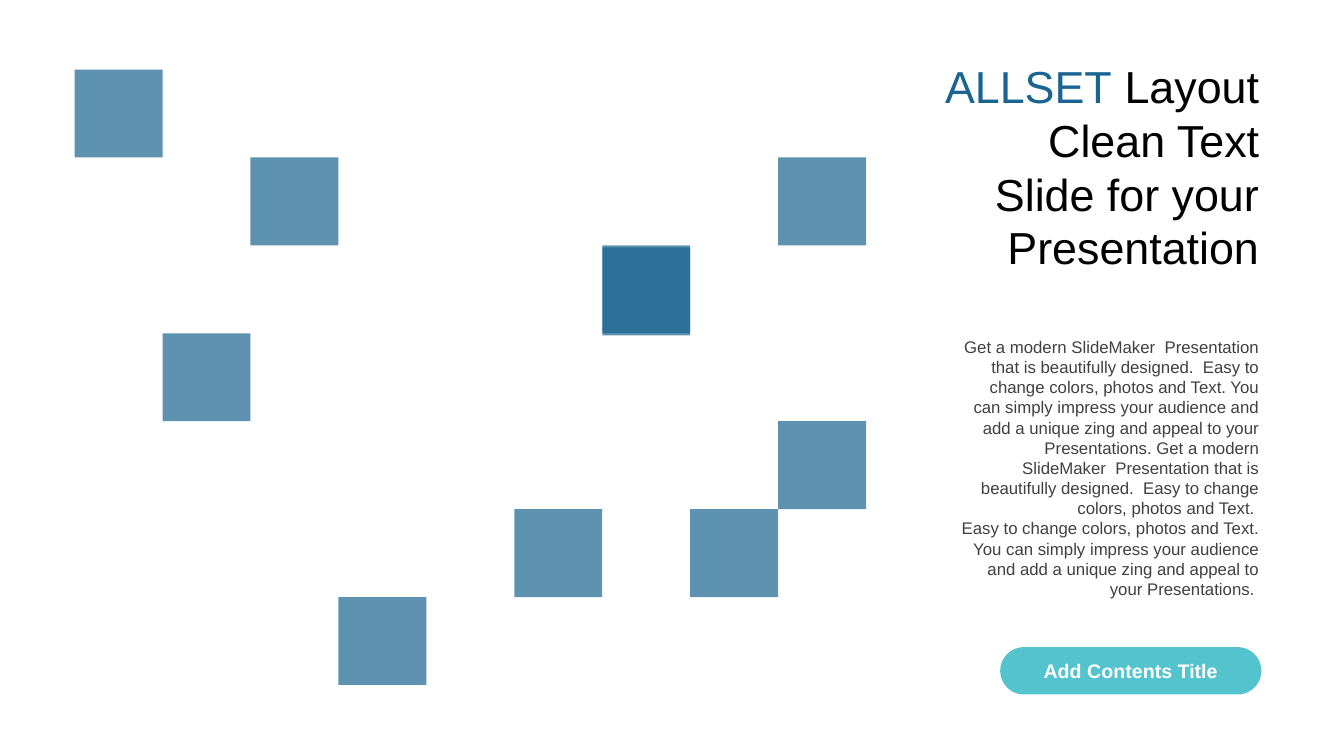
from dataclasses import dataclass

from lxml.etree import SubElement
from pptx import Presentation
from pptx.dml.color import RGBColor
from pptx.enum.shapes import MSO_SHAPE as Shape
from pptx.enum.text import MSO_ANCHOR as Anchor, MSO_AUTO_SIZE as AutoSize, PP_ALIGN as Align
from pptx.oxml.ns import qn
from pptx.util import Inches, Pt


@dataclass(frozen=True)
class Theme:
    font: str = "Arial"
    blue: str = "196491"
    teal: str = "53C3CD"
    black: str = "000000"
    grey: str = "404040"
    white: str = "FFFFFF"
    title_size: int = 32
    body_size: int = 12
    button_size: int = 14
    square_opacity: int = 70


THEME = Theme()

# Paragraphs, each a list of (text, colour) runs
TITLE = [
    [("ALLSET", THEME.blue), (" Layout", THEME.black)],
    [("Clean Text Slide for your Presentation", THEME.black)],
]
BODY = [
    [("Get a modern SlideMaker  Presentation that is beautifully designed.  "
      "Easy to change colors, photos and Text. You can simply impress your "
      "audience and add a unique zing and appeal to your Presentations. "
      "Get a modern SlideMaker  Presentation that is beautifully designed.  "
      "Easy to change colors, photos and Text. ", THEME.grey)],
    [("Easy to change colors, photos and Text. You can simply impress your "
      "audience and add a unique zing and appeal to your Presentations. ", THEME.grey)],
]
BUTTON = [[("Add Contents Title", THEME.white)]]

TITLE_BOX = (9.2, 0.52, 3.39, 2.26)
BODY_BOX = (9.42, 3.29, 3.17, 2.73)
BUTTON_BOX = (9.92, 6.42, 2.59, 0.47)

# Mosaic squares as (column, row, nudge down in inches)
SQUARES = [
    (6, 2, 0), (5, 5, 0), (1, 3, 0), (0, 0, 0), (2, 1, 0),
    (6, 2, 0.02), (3, 6, 0), (8, 1, 0), (8, 4, 0), (7, 5, 0),
]
MOSAIC_LEFT, MOSAIC_TOP, MOSAIC_WIDTH, MOSAIC_COLUMNS = 0.74, 0.69, 7.85, 9


def place(shape, box):
    shape.left, shape.top, shape.width, shape.height = map(Inches, box)


def paint(shape, colour):
    shape.shadow.inherit = False
    shape.fill.solid()
    shape.fill.fore_color.rgb = RGBColor.from_string(colour)
    shape.line.fill.background()


def write(shape, paragraphs, size, align, anchor, bold=False):
    frame = shape.text_frame
    frame.word_wrap = True
    frame.auto_size = AutoSize.NONE
    frame.vertical_anchor = anchor
    for index, runs in enumerate(paragraphs):
        paragraph = frame.add_paragraph() if index else frame.paragraphs[0]
        paragraph.alignment = align
        paragraph.space_before = paragraph.space_after = Pt(0)
        properties = paragraph._p.get_or_add_pPr()
        properties.set("marL", "0")
        properties.set("indent", "0")
        SubElement(properties, qn("a:buNone"))
        for text, colour in runs:
            run = paragraph.add_run()
            run.text = text
            run.font.name = THEME.font
            run.font.size = Pt(size)
            run.font.bold = bold
            run.font.color.rgb = RGBColor.from_string(colour)


def add_mosaic(slide):
    side = MOSAIC_WIDTH / MOSAIC_COLUMNS
    mosaic = slide.shapes.add_group_shape()
    for column, row, nudge in SQUARES:
        left = MOSAIC_LEFT + column * side
        top = MOSAIC_TOP + row * side + nudge
        square = mosaic.shapes.add_shape(Shape.RECTANGLE, *map(Inches, (left, top, side, side)))
        paint(square, THEME.blue)
        colour = square.fill._xPr.find(qn("a:solidFill"))[0]
        SubElement(colour, qn("a:alpha"), val=str(THEME.square_opacity * 1000))


def main():
    deck = Presentation()
    deck.slide_width, deck.slide_height = Inches(13.33), Inches(7.5)
    slide = deck.slides.add_slide(deck.slide_layouts[1])
    add_mosaic(slide)

    title, body = slide.shapes.title, slide.placeholders[1]
    place(title, TITLE_BOX)
    write(title, TITLE, THEME.title_size, Align.RIGHT, Anchor.MIDDLE)
    place(body, BODY_BOX)
    write(body, BODY, THEME.body_size, Align.RIGHT, Anchor.TOP)

    button = slide.shapes.add_shape(Shape.ROUNDED_RECTANGLE, *map(Inches, BUTTON_BOX))
    button.adjustments[0] = 0.5
    paint(button, THEME.teal)
    write(button, BUTTON, THEME.button_size, Align.CENTER, Anchor.MIDDLE, bold=True)

    deck.save("out.pptx")


if __name__ == "__main__":
    main()
